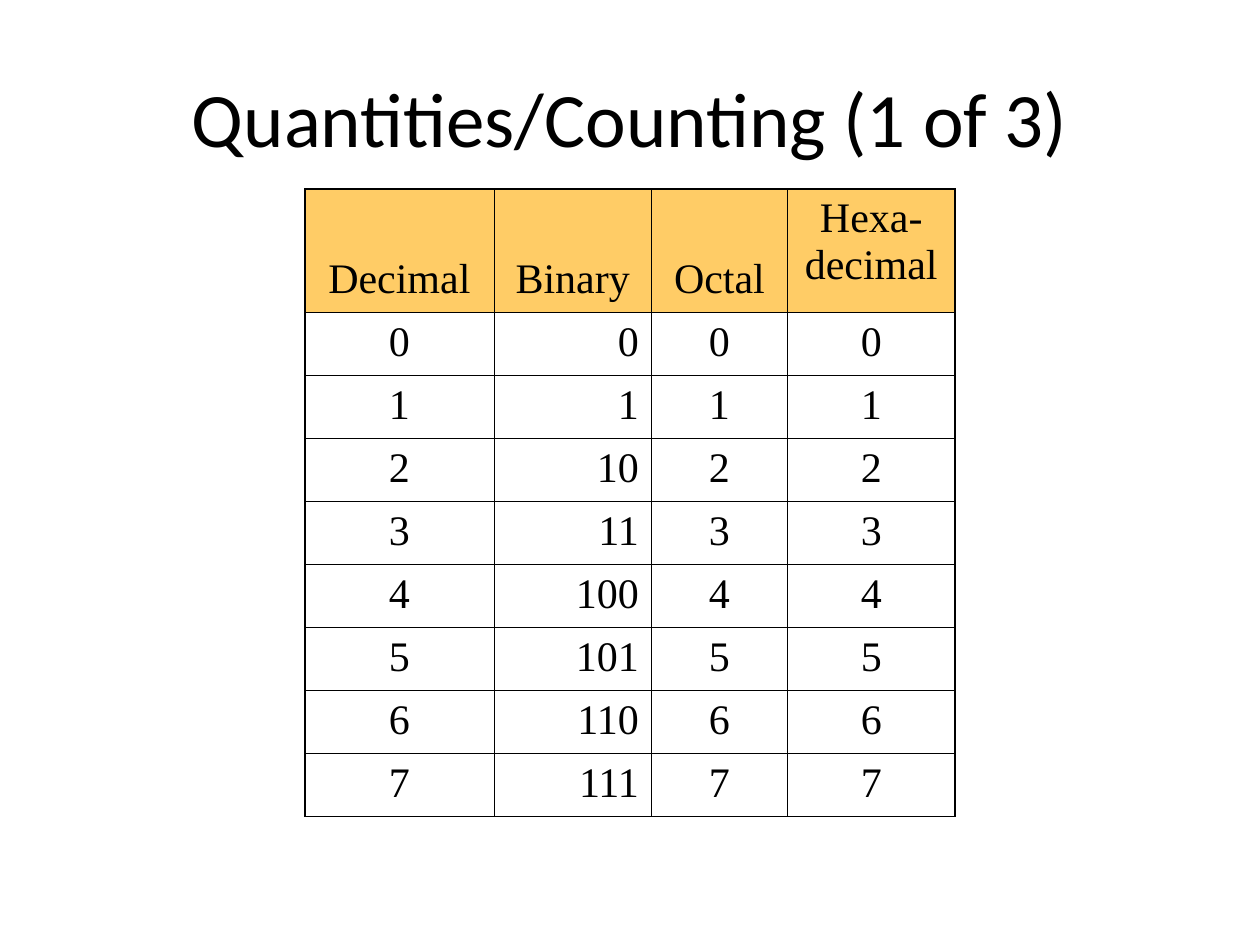
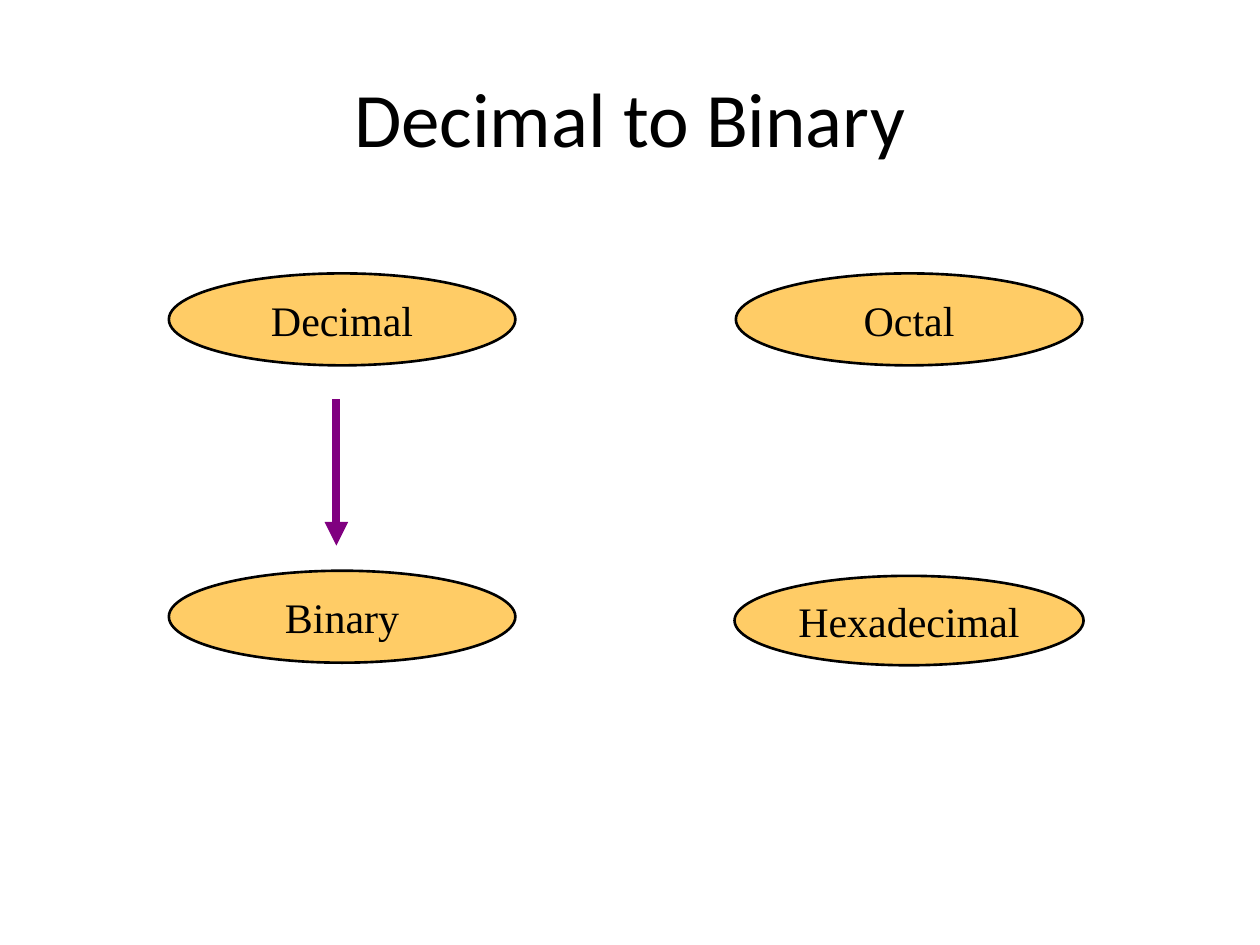
from dataclasses import dataclass

from lxml.etree import SubElement
from pptx import Presentation
from pptx.dml.color import RGBColor
from pptx.enum.shapes import MSO_CONNECTOR as CONN, MSO_SHAPE as SHAPE
from pptx.enum.text import MSO_ANCHOR as ANCHOR, PP_ALIGN as ALIGN
from pptx.oxml.ns import qn
from pptx.slide import Slide
from pptx.table import _Cell as Cell
from pptx.util import Inches, Pt

COLORS = {"text": "000000", "accent": "FFCC66", "arrow": "800080"}
TITLE_FONT = {"name": "Calibri", "size": Pt(44)}
BODY_FONT = {"name": "Times New Roman", "size": Pt(24)}
TITLE_BOX = {"left": Inches(0.5), "top": Inches(0.3),
             "width": Inches(9), "height": Inches(1.25)}
OUTER_LINE, INNER_LINE = Pt(1.08), Pt(0.45)
HEADER_HEIGHT, ROW_HEIGHT = 0.98, 0.5


@dataclass
class Column:
    head: str
    width: float
    number_format: str
    align: ALIGN = ALIGN.CENTER


@dataclass
class Oval:
    label: str
    left: float
    top: float
    width: float = 2.75
    height: float = 0.73


COLUMNS = [
    Column("Decimal", 1.5, "d"),
    Column("Binary", 1.25, "b", ALIGN.RIGHT),
    Column("Octal", 1.08, "o"),
    Column("Hexa-\vdecimal", 1.33, "X"),
]
OVALS = [
    Oval("Hexadecimal", 5.83, 4.57, 2.77, 0.71),
    Oval("Decimal", 1.34, 2.17),
    Oval("Octal", 5.84, 2.17),
    Oval("Binary", 1.34, 4.53),
]


def rgb(key: str) -> RGBColor:
    return RGBColor.from_string(COLORS[key])


def apply(target, values: dict) -> None:
    for name, value in values.items():
        setattr(target, name, value)


def format_paragraph(p, font: dict, align: ALIGN = ALIGN.CENTER) -> None:
    p.alignment = align
    apply(p.font, font)
    p.font.color.rgb = rgb("text")


def add_titled_slide(prs, title: str) -> Slide:
    s = prs.slides.add_slide(prs.slide_layouts[5])
    sp = s.shapes.title
    apply(sp, TITLE_BOX)
    tf = sp.text_frame
    tf.text = title
    tf.vertical_anchor = ANCHOR.MIDDLE
    format_paragraph(tf.paragraphs[0], TITLE_FONT)
    return s


def set_borders(cell: Cell, widths: dict[str, int]) -> None:
    tc_pr = cell._tc.get_or_add_tcPr()
    for side, width in widths.items():
        ln = SubElement(tc_pr, qn(f"a:ln{side}"), w=str(width))
        fill = SubElement(ln, qn("a:solidFill"))
        SubElement(fill, qn("a:srgbClr"), val=COLORS["text"])


def add_counting_table(s: Slide, columns: list[Column], count: int) -> None:
    width = sum(col.width for col in columns)
    height = HEADER_HEIGHT + count * ROW_HEIGHT
    table = s.shapes.add_table(count + 1, len(columns), Inches(2.42), Inches(1.5),
                               Inches(width), Inches(height)).table
    table.first_row = table.horz_banding = False
    for r, row in enumerate(table.rows):
        row.height = Inches(ROW_HEIGHT if r else HEADER_HEIGHT)
        for c, col in enumerate(columns):
            cell = table.cell(r, c)
            cell.text = format(r - 1, col.number_format) if r else col.head
            format_paragraph(cell.text_frame.paragraphs[0], BODY_FONT,
                             col.align if r else ALIGN.CENTER)
            edges = {"L": c == 0, "R": c == len(columns) - 1,
                     "T": r == 0, "B": r == count}
            set_borders(cell, {side: OUTER_LINE if outer else INNER_LINE
                               for side, outer in edges.items()})
            if r:
                cell.fill.background()
                continue
            cell.fill.solid()
            cell.fill.fore_color.rgb = rgb("accent")
            if "\v" not in col.head:
                cell.vertical_anchor = ANCHOR.BOTTOM
                cell.margin_bottom = Inches(0.08)
    for column, col in zip(table.columns, columns):
        column.width = Inches(col.width)


def add_oval(s: Slide, oval: Oval) -> None:
    sp = s.shapes.add_shape(SHAPE.OVAL, Inches(oval.left), Inches(oval.top),
                            Inches(oval.width), Inches(oval.height))
    sp.shadow.inherit = False
    sp.fill.solid()
    sp.fill.fore_color.rgb = rgb("accent")
    sp.line.color.rgb = rgb("text")
    sp.line.width = Pt(1.5)
    tf = sp.text_frame
    tf.text = oval.label
    apply(tf, {"word_wrap": False, "vertical_anchor": ANCHOR.MIDDLE})
    format_paragraph(tf.paragraphs[0], BODY_FONT)


def add_down_arrow(s: Slide, x: float, top: float, bottom: float) -> None:
    sp = s.shapes.add_connector(CONN.STRAIGHT, Inches(x), Inches(top),
                                Inches(x), Inches(bottom))
    sp.line.color.rgb = rgb("arrow")
    sp.line.width = Pt(4.5)
    SubElement(sp.line._get_or_add_ln(), qn("a:tailEnd"), type="triangle")
    SubElement(sp._element.spPr, qn("a:effectLst"))


def main() -> None:
    prs = Presentation()
    prs.slide_width, prs.slide_height = Inches(10), Inches(7.5)

    s = add_titled_slide(prs, "Quantities/Counting (1 of 3)")
    add_counting_table(s, COLUMNS, 8)

    s = add_titled_slide(prs, "Decimal to Binary")
    for oval in OVALS:
        add_oval(s, oval)
    add_down_arrow(s, 2.67, 3.17, 4.33)

    prs.save("out.pptx")


if __name__ == "__main__":
    main()
